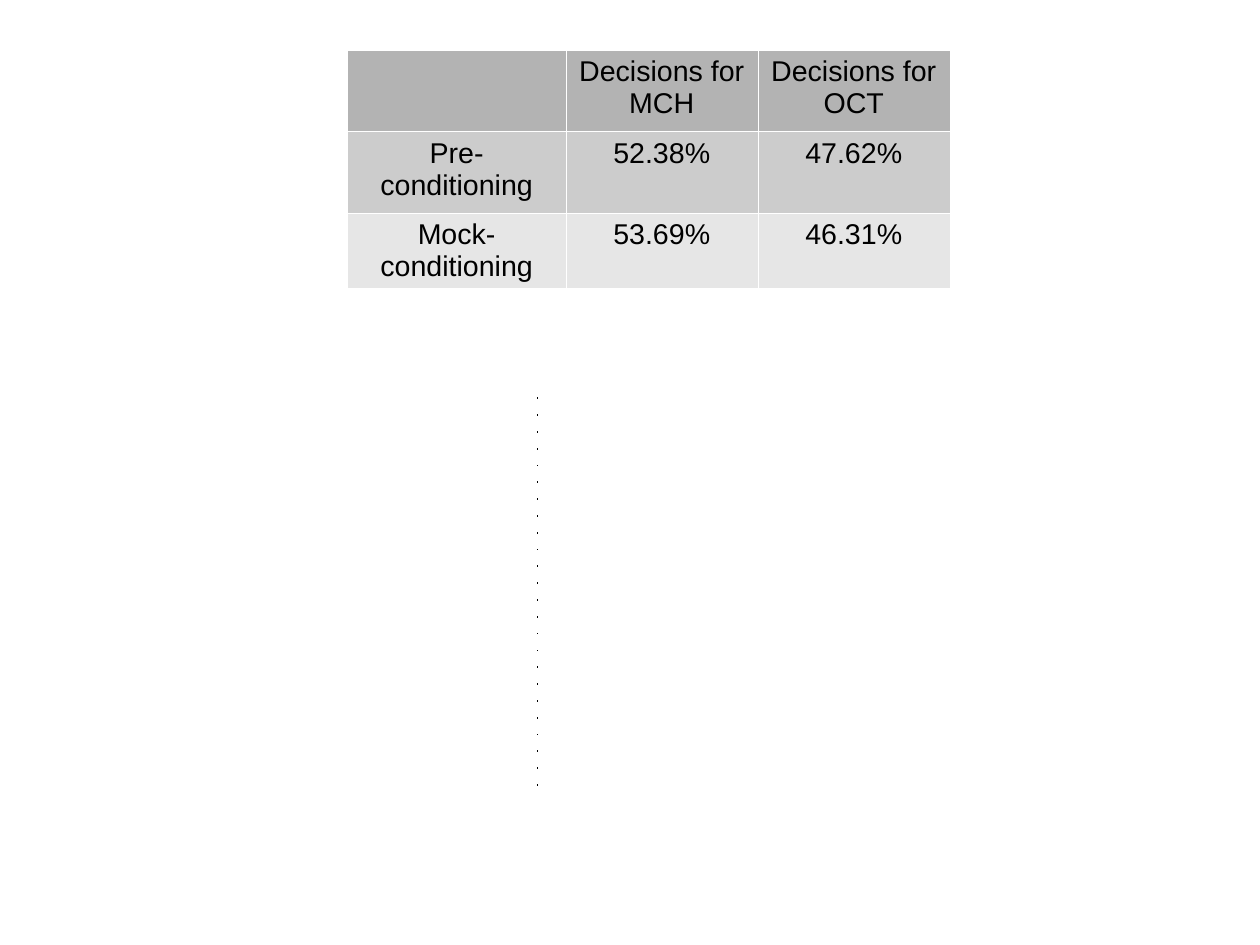
from lxml import etree
from pptx import Presentation
from pptx.dml.color import RGBColor
from pptx.enum.shapes import MSO_CONNECTOR
from pptx.enum.text import PP_ALIGN
from pptx.oxml import parse_xml
from pptx.oxml.ns import qn
from pptx.util import Emu, Inches, Pt

STRAIGHT = MSO_CONNECTOR.STRAIGHT
CENTER = PP_ALIGN.CENTER
NAMESPACE = "http://schemas.openxmlformats.org/drawingml/2006/main"


def color(value):
    return RGBColor.from_string(value)


deck = Presentation()
deck.slide_width = Emu(10080625)
deck.slide_height = Emu(7559675)
page = deck.slides.add_slide(deck.slide_layouts[6])

rows = [
    ("B3B3B3", 0.71, ["", "Decisions for MCH", "Decisions for OCT"]),
    ("CCCCCC", 0.71, ["Pre-conditioning", "52.38%", "47.62%"]),
    ("E6E6E6", 0.66, ["Mock-conditioning", "53.69%", "46.31%"]),
]
table = page.shapes.add_table(
    3, 3, Inches(3.04), Inches(0.44), Inches(5.26), Inches(2.09)
).table
for column, width in zip(table.columns, [1.91, 1.68, 1.68]):
    column.width = Inches(width)

for row_index, (fill, height, texts) in enumerate(rows):
    table.rows[row_index].height = Inches(height)
    for column_index, text in enumerate(texts):
        cell = table.cell(row_index, column_index)
        cell.text = text
        para = cell.text_frame.paragraphs[0]
        para.alignment = CENTER
        for span in para.runs:
            span.font.name = "Arial"
            span.font.size = Pt(18)
            span.font.bold = False
            span.font.color.rgb = color("000000")
        properties = cell._tc.get_or_add_tcPr()
        for side in ("lnL", "lnR", "lnT", "lnB"):
            properties.append(parse_xml(
                f'<a:{side} xmlns:a="{NAMESPACE}" w="720"><a:solidFill>'
                f'<a:srgbClr val="FFFFFF"/></a:solidFill></a:{side}>'
            ))
        cell.fill.solid()
        cell.fill.fore_color.rgb = color(fill)

divider = page.shapes.add_connector(
    STRAIGHT, Inches(4.7), Inches(6.87), Inches(4.7), Inches(3.37)
)
divider.line.color.rgb = color("000000")
outline = divider._element.spPr.find(qn("a:ln"))
outline.set("w", "0")
dashes = etree.SubElement(outline, qn("a:custDash"))
etree.SubElement(dashes, qn("a:ds"), d="60000", sp="1326000")
etree.SubElement(divider._element.spPr, qn("a:effectLst"))

deck.save("out.pptx")
